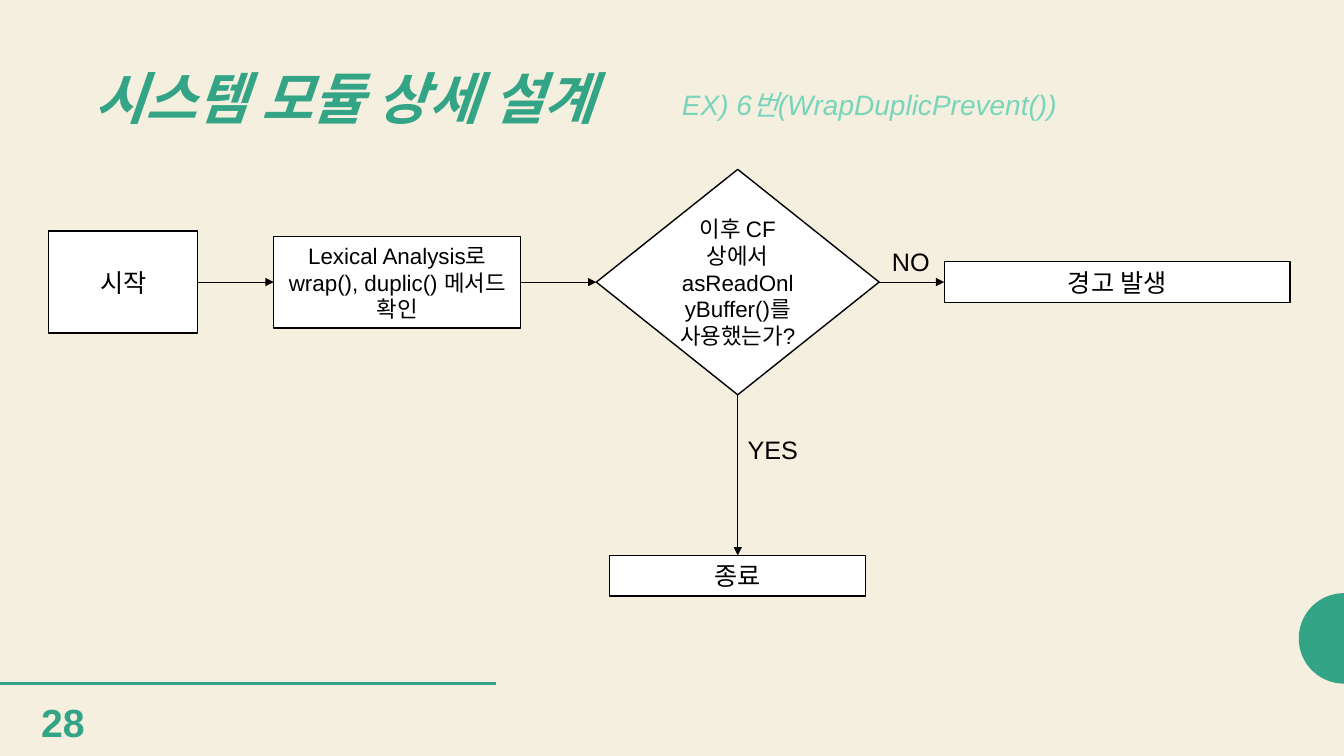
from math import cos, pi, sin

from lxml import etree
from pptx import Presentation
from pptx.dml.color import RGBColor
from pptx.enum.shapes import MSO_CONNECTOR, MSO_SHAPE
from pptx.enum.text import MSO_ANCHOR, MSO_AUTO_SIZE, PP_ALIGN
from pptx.oxml.ns import qn
from pptx.util import Pt

RECT, DIAMOND = MSO_SHAPE.RECTANGLE, MSO_SHAPE.DIAMOND
LINE = MSO_CONNECTOR.STRAIGHT
TOP, MIDDLE = MSO_ANCHOR.TOP, MSO_ANCHOR.MIDDLE
LEFT, CENTER = PP_ALIGN.LEFT, PP_ALIGN.CENTER
NORTH, WEST, SOUTH, EAST = range(4)

COLORS = {"paper": "F4EFDF", "green": "33A485", "mint": "78D5BB",
          "white": "FFFFFF", "black": "000000"}
FONT = "Arial"
WIDTH, HEIGHT = 960, 540
ROW, COLUMN = 201.5, 527

TITLE = "시스템 모듈 상세 설계"
LABELS = [
    ("28", (22.3, 495.4, 53, 41), 28, "green", True, False),
    ("EX) 6번(WrapDuplicPrevent())", (480, 59, 356, 42), 20, "mint", False, True),
    ("NO", (630, 172.2, 44, 29), 18, "black", False, False),
    ("YES", (COLUMN, 306.7, 55, 29), 18, "black", False, False),
]
STEPS = {
    "start": ("시작", RECT, (88, ROW), (106.5, 73), 18),
    "check": ("Lexical Analysis로 wrap(), duplic() 메서드 확인", RECT,
              (283.75, ROW), (176.5, 65.5), 16),
    "choice": ("이후 CF 상에서 asReadOnlyBuffer()를 사용했는가?", DIAMOND,
               (COLUMN, ROW), (202, 161), 16),
    "warn": ("경고 발생", RECT, (798, ROW), (247, 29), 18),
    "end": ("종료", RECT, (COLUMN, 411.25), (183, 29), 18),
}
ARROWS = [
    ("start", EAST, "check", WEST),
    ("check", EAST, "choice", WEST),
    ("choice", EAST, "warn", WEST),
    ("choice", SOUTH, "end", NORTH),
]


def color(name):
    return RGBColor.from_string(COLORS[name])


def write(shape, text, size, ink, align=LEFT, anchor=TOP, bold=False, italic=False):
    frame = shape.text_frame
    frame.text = text
    frame.word_wrap = True
    frame.auto_size = MSO_AUTO_SIZE.NONE
    frame.vertical_anchor = anchor
    para = frame.paragraphs[0]
    para.alignment = align
    font = para.font
    font.name, font.size = FONT, Pt(size)
    font.bold, font.italic = bold, italic
    font.color.rgb = color(ink)
    return para


def add_line(shapes, ends, ink, width):
    line = shapes.add_connector(LINE, *map(Pt, ends))
    line.line.color.rgb = color(ink)
    line.line.width = Pt(width)
    etree.SubElement(line._element.spPr, qn("a:effectLst"))
    return line


def add_disc(shapes, x, y, radius, count=40):
    arc = [(x - radius * sin(pi * i / count), y - radius * cos(pi * i / count))
           for i in range(count + 1)]
    points = [(Pt(a), Pt(b)) for a, b in arc]
    path = shapes.build_freeform(*points[0])
    path.add_line_segments(points[1:], close=True)
    disc = path.convert_to_shape()
    disc.shadow.inherit = False
    disc.fill.solid()
    disc.fill.fore_color.rgb = color("green")
    disc.line.fill.background()


def add_step(shapes, text, kind, middle, size, points):
    x, y = middle
    w, h = size
    step = shapes.add_shape(kind, Pt(x - w / 2), Pt(y - h / 2), Pt(w), Pt(h))
    step.shadow.inherit = False
    step.fill.solid()
    step.fill.fore_color.rgb = color("white")
    step.line.color.rgb = color("black")
    step.line.width = Pt(1)
    write(step, text, points, "black", CENTER, MIDDLE)
    return step


def main():
    deck = Presentation()
    deck.slide_width, deck.slide_height = Pt(WIDTH), Pt(HEIGHT)
    slide = deck.slides.add_slide(deck.slide_layouts[5])
    slide.background.fill.solid()
    slide.background.fill.fore_color.rgb = color("paper")
    shapes = slide.shapes

    add_disc(shapes, WIDTH, 456, 32.3)
    add_line(shapes, (0, 488.3, 354.3, 488.3), "green", 2)

    title = shapes.title
    title.left, title.top, title.width, title.height = map(Pt, (60, 44, 410, 57))
    para = write(title, TITLE, 40, "green", anchor=MIDDLE, bold=True, italic=True)
    para.line_spacing = 0.9

    steps = {name: add_step(shapes, *step) for name, step in STEPS.items()}
    for source, out, target, into in ARROWS:
        arrow = add_line(shapes, (0, 0, 0, 0), "black", 0.5)
        arrow.begin_connect(steps[source], out)
        arrow.end_connect(steps[target], into)
        etree.SubElement(arrow.line._get_or_add_ln(), qn("a:tailEnd"), type="triangle")

    for text, area, size, ink, bold, italic in LABELS:
        box = shapes.add_textbox(*map(Pt, area))
        write(box, text, size, ink, bold=bold, italic=italic)

    deck.save("out.pptx")


if __name__ == "__main__":
    main()
